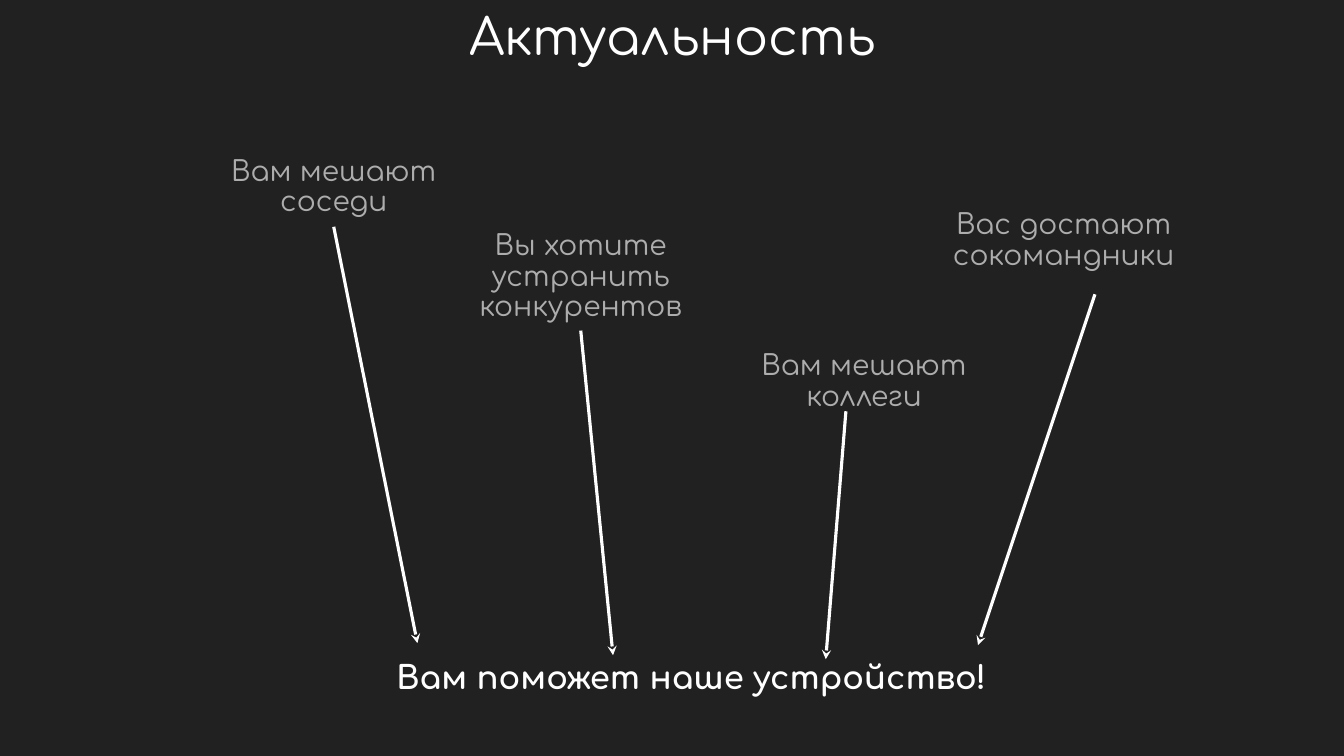
import lxml.etree
import pptx
import pptx.dml.color
import pptx.enum.shapes
import pptx.enum.text
import pptx.oxml.ns
import pptx.util

Inches = pptx.util.Inches
qn = pptx.oxml.ns.qn
COLORS = {"background": "212121", "white": "FFFFFF", "problem": "ADADAD"}
FONT = "Comfortaa"


def rgb(name):
    return pptx.dml.color.RGBColor.from_string(COLORS[name])


def write(sp, box, text, size, color, spacing=0.9, bold=False,
          anchor=pptx.enum.text.MSO_ANCHOR.TOP):
    sp.left, sp.top, sp.width, sp.height = [Inches(v) for v in box]
    tf = sp.text_frame
    tf.text = text
    tf.word_wrap = True
    tf.auto_size = pptx.enum.text.MSO_AUTO_SIZE.NONE
    tf.vertical_anchor = anchor
    tf.margin_left = tf.margin_right = Inches(0.1)
    tf.margin_top = tf.margin_bottom = Inches(0.05)
    p = tf.paragraphs[0]
    p.alignment = pptx.enum.text.PP_ALIGN.CENTER
    p.line_spacing = spacing
    p.space_before = pptx.util.Pt(0)
    r = p.runs[0]
    r.font.name = FONT
    r.font.size = pptx.util.Pt(size)
    r.font.bold = bold
    r.font.color.rgb = rgb(color)


prs = pptx.Presentation()
prs.slide_width, prs.slide_height = Inches(13.33), Inches(7.5)
s = prs.slides.add_slide(prs.slide_layouts[0])
s.background.fill.solid()
s.background.fill.fore_color.rgb = rgb("background")

# Title and conclusion
write(s.shapes.title, (1.67, 0, 10, 0.7), "Актуальность", 36, "white",
      spacing=1.3, anchor=pptx.enum.text.MSO_ANCHOR.BOTTOM)
write(s.placeholders[1], (3.41, 6.51, 6.9, 0.74),
      "Вам поможет наше устройство!", 23, "white", bold=True)

# Problems, each with an arrow to the conclusion: text, box, arrow start, arrow end
problems = [
    ("Вам мешают соседи", (1.67, 1.51, 3.28, 0.74), (3.31, 2.25), (4.14, 6.38)),
    ("Вы хотите устранить конкурентов", (3.98, 2.25, 3.56, 1.03), (5.76, 3.28), (6.08, 6.5)),
    ("Вам мешают коллеги", (6.93, 3.44, 3.28, 0.74), (8.39, 4.08), (8.19, 6.54)),
    ("Вас достают сокомандники", (8.91, 2.04, 3.28, 0.74), (10.86, 2.92), (9.7, 6.4)),
]
for text, box, start, end in problems:
    sp = s.shapes.add_textbox(0, 0, 0, 0)
    write(sp, box, text, 20, "problem")

    arrow = s.shapes.add_connector(pptx.enum.shapes.MSO_CONNECTOR.STRAIGHT,
                                   *[Inches(v) for v in start + end])
    arrow.line.color.rgb = rgb("white")
    arrow.line.width = pptx.util.Pt(2.25)
    ln = arrow.element.spPr.find(qn("a:ln"))
    lxml.etree.SubElement(ln, qn("a:tailEnd"), type="stealth")
    lxml.etree.SubElement(arrow.element.spPr, qn("a:effectLst"))

prs.save("out.pptx")
